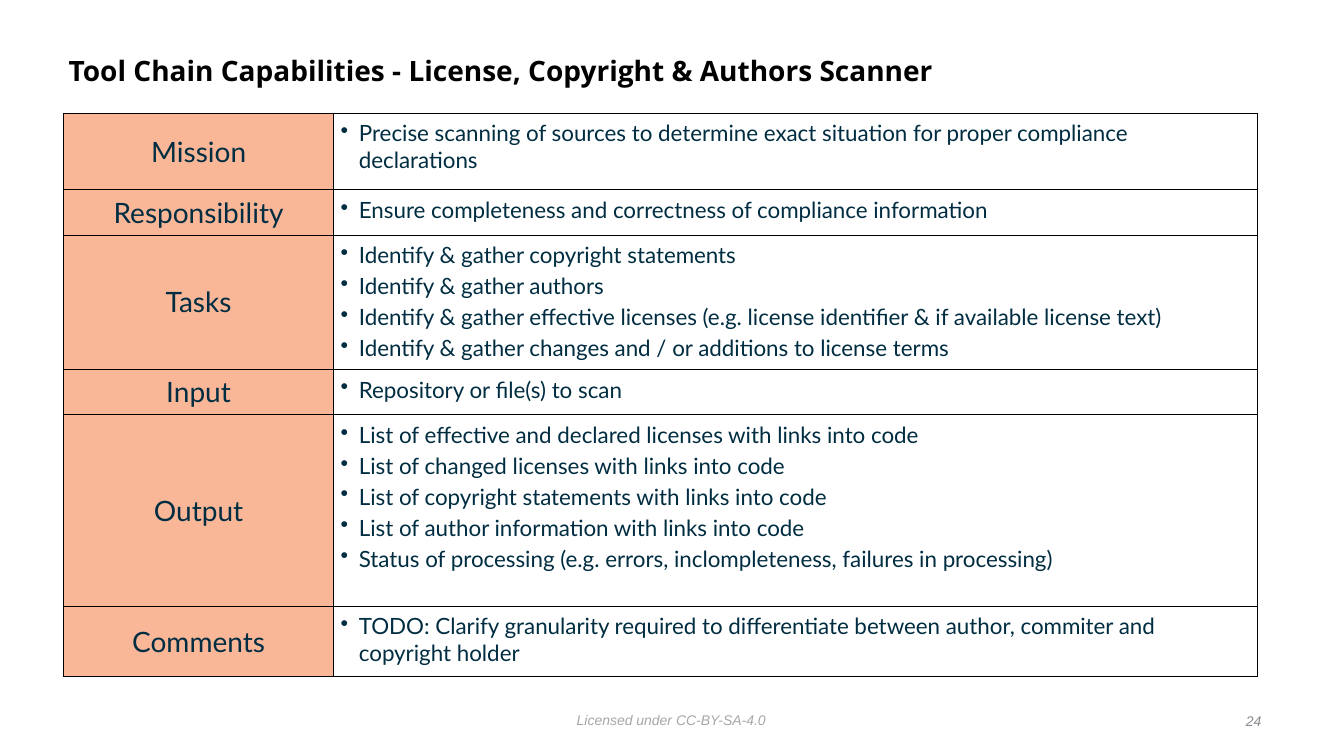
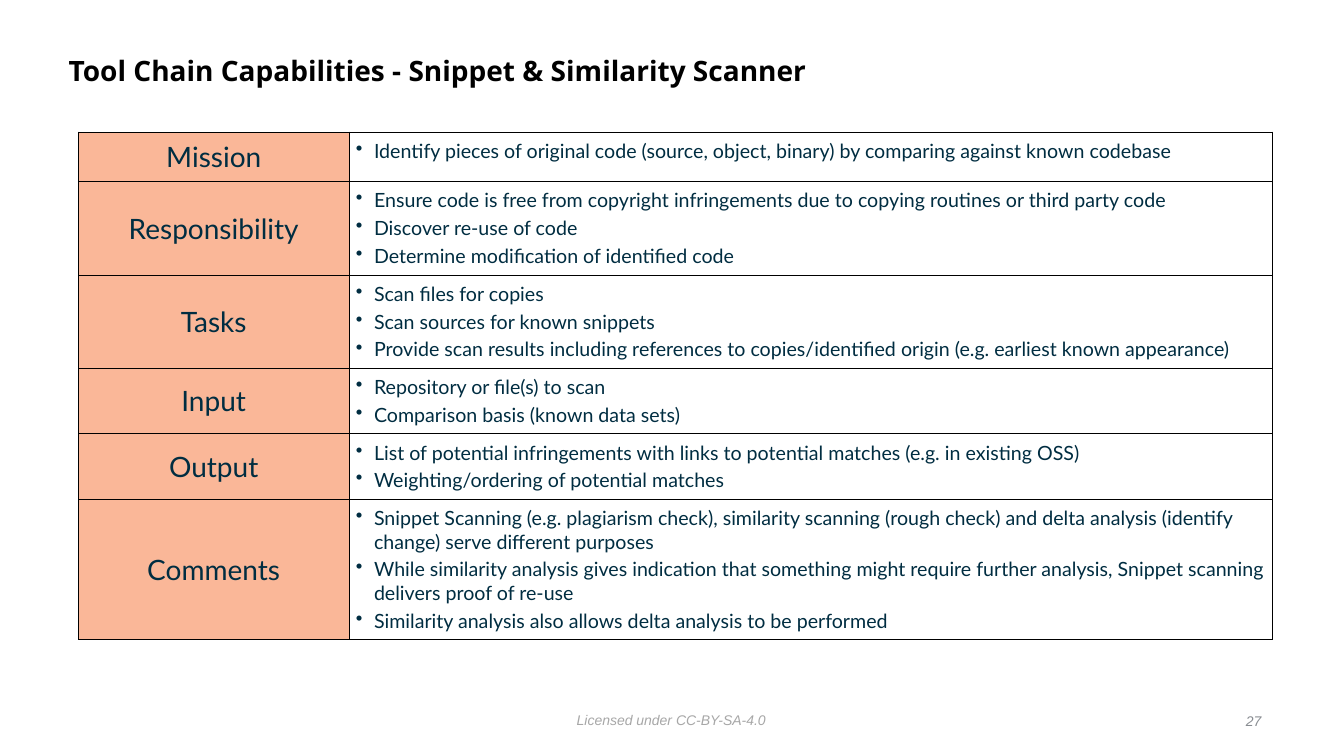
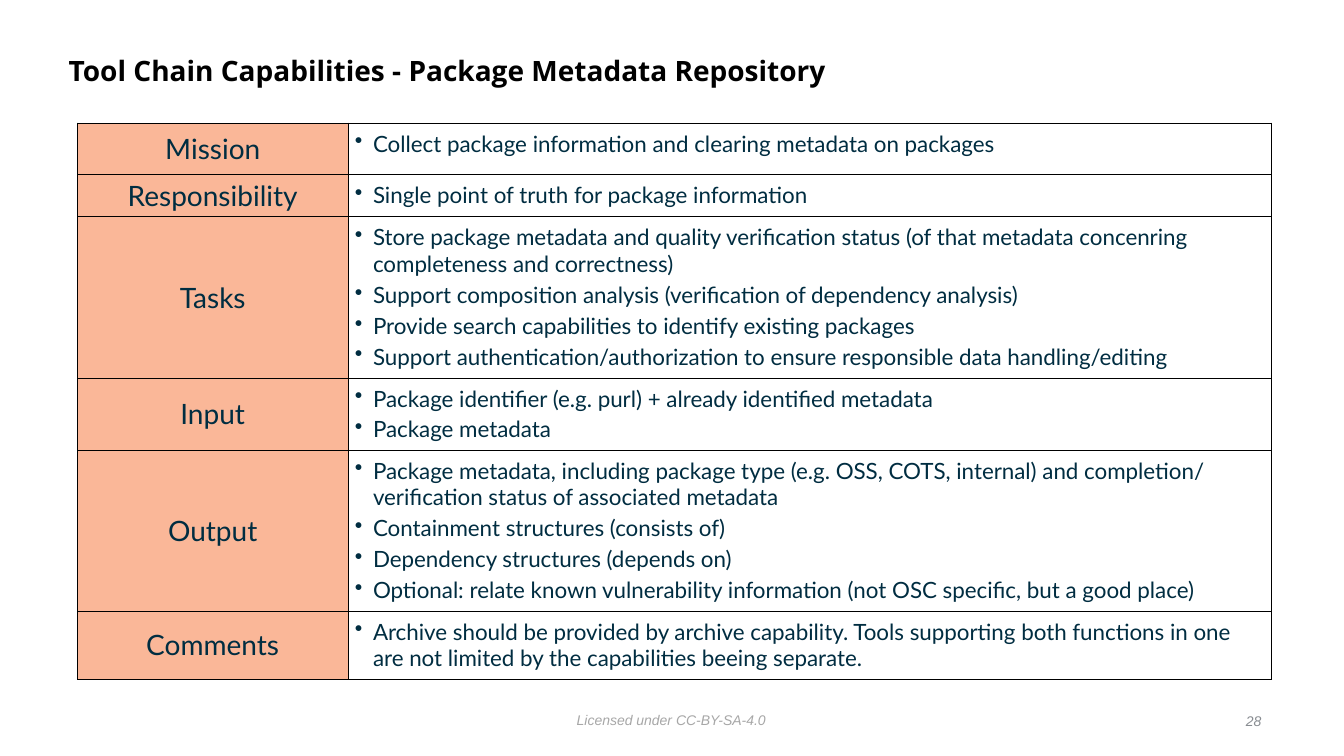
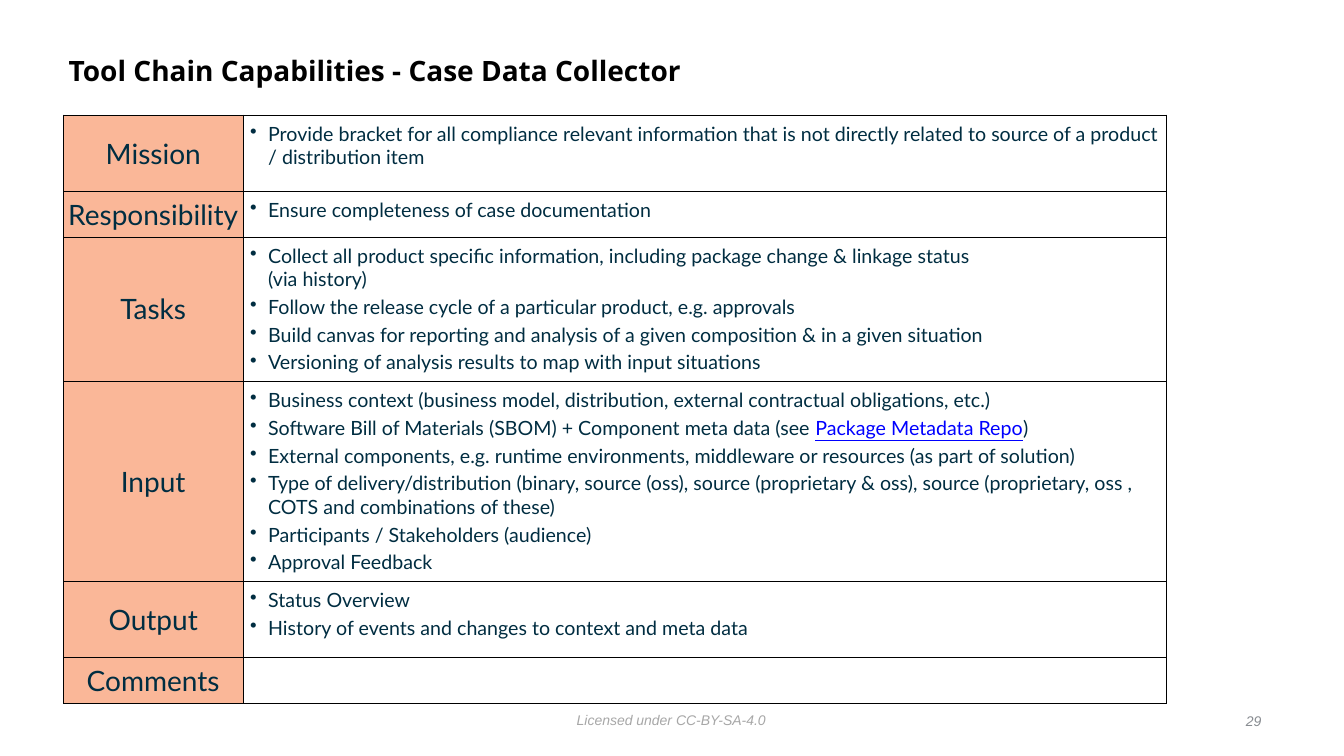
from lxml import etree
from pptx import Presentation
from pptx import util as u
from pptx.dml import color
from pptx.enum import text
from pptx.oxml import ns

PX = 9144
INK, LABEL_FILL, LINK_BLUE, BORDER = "002D41", "FAB798", "0000FF", "000000"
LINK = "Package Metadata Repo"
LABELS = ["Mission", "Responsibility", "Tasks", "Input", "Output", "Comments"]
PREFIX = "Tool Chain Capabilities - "
DETAIL_WIDTH = 916

CAPABILITIES = [
    {
        "title": "License, Copyright & Authors Scanner",
        "number": 24,
        "origin": (63, 112),
        "label_width": 268,
        "size": 16,
        "heights": [76, 45, 133, 45, 190, 70],
        "details": [
            ["Precise scanning of sources to determine exact situation for proper compliance declarations"],
            ["Ensure completeness and correctness of compliance information"],
            [
                "Identify & gather copyright statements",
                "Identify & gather authors",
                "Identify & gather effective licenses (e.g. license identifier & if available license text)",
                "Identify & gather changes and / or additions to license terms",
            ],
            ["Repository or file(s) to scan"],
            [
                "List of effective and declared licenses with links into code",
                "List of changed licenses with links into code",
                "List of copyright statements with links into code",
                "List of author information with links into code",
                "Status of processing (e.g. errors, inclompleteness, failures in processing)",
            ],
            ["TODO: Clarify granularity required to differentiate between author, commiter and copyright holder"],
        ],
    },
    {
        "title": "Snippet & Similarity Scanner",
        "number": 27,
        "origin": (78, 131),
        "label_width": 268,
        "size": 14,
        "heights": [49, 93, 92, 65, 65, 138],
        "details": [
            ["Identify pieces of original code (source, object, binary) by comparing against known codebase"],
            [
                "Ensure code is free from copyright infringements due to copying routines or third party code",
                "Discover re-use of code",
                "Determine modification of identified code",
            ],
            [
                "Scan files for copies",
                "Scan sources for known snippets",
                "Provide scan results including references to copies/identified origin (e.g. earliest known appearance)",
            ],
            ["Repository or file(s) to scan", "Comparison basis (known data sets)"],
            [
                "List of potential infringements with links to potential matches (e.g. in existing OSS)",
                "Weighting/ordering of potential matches",
            ],
            [
                "Snippet Scanning (e.g. plagiarism check), similarity scanning (rough check) and delta analysis "
                "(identify change) serve different purposes",
                "While similarity analysis gives indication that something might require further analysis, "
                "Snippet scanning delivers proof of re-use",
                "Similarity analysis also allows delta analysis to be performed",
            ],
        ],
    },
    {
        "title": "Package Metadata Repository",
        "number": 28,
        "origin": (77, 122),
        "label_width": 268,
        "size": 16,
        "heights": [51, 42, 160, 71, 159, 66],
        "details": [
            ["Collect package information and clearing metadata on packages"],
            ["Single point of truth for package information"],
            [
                "Store package metadata and quality verification status (of that metadata concenring "
                "completeness and correctness)",
                "Support composition analysis (verification of dependency analysis)",
                "Provide search capabilities to identify existing packages",
                "Support authentication/authorization to ensure responsible data handling/editing",
            ],
            ["Package identifier (e.g. purl) + already identified metadata", "Package metadata"],
            [
                "Package metadata, including package type (e.g. OSS, COTS, internal) and completion/ "
                "verification status of associated metadata",
                "Containment structures (consists of)",
                "Dependency structures (depends on)",
                "Optional: relate known vulnerability information (not OSC specific, but a good place)",
            ],
            [
                "Archive should be provided by archive capability. Tools supporting both functions in one "
                "are not limited by the capabilities beeing separate."
            ],
        ],
    },
    {
        "title": "Case Data Collector",
        "number": 29,
        "origin": (63, 114),
        "label_width": 178,
        "size": 14,
        "heights": [76, 45, 143, 198, 76, 45],
        "details": [
            [
                "Provide bracket for all compliance relevant information that is not directly related to "
                "source of a product / distribution item"
            ],
            ["Ensure completeness of case documentation"],
            [
                "Collect all product specific information, including package change & linkage status\v(via history)",
                "Follow the release cycle of a particular product, e.g. approvals",
                "Build canvas for reporting and analysis of a given composition & in a given situation",
                "Versioning of analysis results to map with input situations",
            ],
            [
                "Business context (business model, distribution, external contractual obligations, etc.)",
                f"Software Bill of Materials (SBOM) + Component meta data (see {LINK})",
                "External components, e.g. runtime environments, middleware or resources (as part of solution)",
                "Type of delivery/distribution (binary, source (oss), source (proprietary & oss), "
                "source (proprietary, oss , COTS and combinations of these)",
                "Participants / Stakeholders (audience)",
                "Approval Feedback",
            ],
            ["Status Overview", "History of events and changes to context and meta data"],
            [],
        ],
    },
]


def px(length):
    """Turn px into EMU."""
    return u.Emu(length * PX)


def rgb(hex_code):
    """Turn a hex string into a colour."""
    return color.RGBColor.from_string(hex_code)


def style(run, font, size, hex_code, bold=False, italic=False):
    """Format one run."""
    run.font.name = font
    run.font.size = u.Pt(size)
    run.font.color.rgb = rgb(hex_code)
    run.font.bold = bold
    run.font.italic = italic


def set_margins(holder, margin):
    """Give a text frame or a cell equal margins."""
    holder.margin_left = holder.margin_right = px(margin)
    holder.margin_top = holder.margin_bottom = px(margin)


def add_line(slide, box, words, font, size, hex_code, align="LEFT", anchor="MIDDLE", **looks):
    """Place one line of text in a box and return its paragraph."""
    frame = slide.shapes.add_textbox(*map(px, box)).text_frame
    frame.word_wrap = True
    set_margins(frame, 5)
    frame.vertical_anchor = text.MSO_ANCHOR[anchor]
    line = frame.paragraphs[0]
    line.text = words
    line.alignment = text.PP_ALIGN[align]
    style(line.runs[0], font, size, hex_code, **looks)
    return line


def add_frame(slide, title, number):
    """Place the title, the licence line and the page number."""
    heading = add_line(slide, (63, 39, 1075, 65), PREFIX + title, "Open Sans", 20, "000000", bold=True)
    heading.line_spacing = 0.9
    add_line(slide, (567, 701, 220, 25), "Licensed under CC-BY-SA-4.0", "Arial", 10, "A7A7A7",
             anchor="TOP", italic=True)
    add_line(slide, (1216, 703, 40, 25), str(number), "Arial", 10, "888C91", align="RIGHT", italic=True)


def add_borders(cell):
    """Draw thin lines on the four sides of a cell."""
    properties = cell._tc.get_or_add_tcPr()
    for side in ("lnL", "lnR", "lnT", "lnB"):
        line = etree.SubElement(properties, ns.qn(f"a:{side}"), w=str(u.Pt(0.5)))
        fill = etree.SubElement(line, ns.qn("a:solidFill"))
        etree.SubElement(fill, ns.qn("a:srgbClr"), val=BORDER)


def fill_label(cell, label):
    """Write a row label on its coloured cell."""
    add_borders(cell)
    cell.fill.solid()
    cell.fill.fore_color.rgb = rgb(LABEL_FILL)
    set_margins(cell, 0)
    cell.vertical_anchor = text.MSO_ANCHOR.MIDDLE
    paragraph = cell.text_frame.paragraphs[0]
    paragraph.text = label
    paragraph.alignment = text.PP_ALIGN.CENTER
    style(paragraph.runs[0], "Lato", 20, INK)


def write_bullet(paragraph, words, size):
    """Write one bullet, with the link words underlined."""
    properties = paragraph._p.get_or_add_pPr()
    properties.set("marL", str(px(18)))
    properties.set("indent", str(px(-18)))
    etree.SubElement(properties, ns.qn("a:buChar"), char="•")
    before, link, after = words.partition(LINK)
    paragraph.text = before
    for part in filter(None, (link, after)):
        paragraph.add_run().text = part
    for run in paragraph.runs:
        is_link = run.text == LINK
        style(run, "Lato", size, LINK_BLUE if is_link else INK)
        run.font.underline = is_link
    for line_break in paragraph._p.findall(ns.qn("a:br")):
        etree.SubElement(line_break, ns.qn("a:rPr"), sz=str(size * 100))


def fill_details(cell, bullets, size):
    """Write the bullets of one row."""
    add_borders(cell)
    cell.fill.background()
    set_margins(cell, 7)
    frame = cell.text_frame
    for index, words in enumerate(bullets):
        paragraph = frame.add_paragraph() if index else frame.paragraphs[0]
        write_bullet(paragraph, words, size)
        if index:
            paragraph.space_before = u.Pt(3)


def add_capability_table(slide, origin, label_width, heights, details, size):
    """Place the table of labels and details from its top left corner."""
    widths = (label_width, DETAIL_WIDTH)
    box = (*origin, sum(widths), sum(heights))
    table = slide.shapes.add_table(len(LABELS), len(widths), *map(px, box)).table
    table.first_row = table.horz_banding = False
    for column, width in zip(table.columns, widths):
        column.width = px(width)
    for index, (label, height, bullets) in enumerate(zip(LABELS, heights, details)):
        table.rows[index].height = px(height)
        fill_label(table.cell(index, 0), label)
        fill_details(table.cell(index, 1), bullets, size)


def main():
    """Build and save the presentation."""
    deck = Presentation()
    deck.slide_width, deck.slide_height = px(1333), px(750)
    for capability in CAPABILITIES:
        slide = deck.slides.add_slide(deck.slide_layouts[6])
        add_frame(slide, capability["title"], capability["number"])
        add_capability_table(slide, capability["origin"], capability["label_width"],
                             capability["heights"], capability["details"], capability["size"])
    deck.save("out.pptx")


if __name__ == "__main__":
    main()
